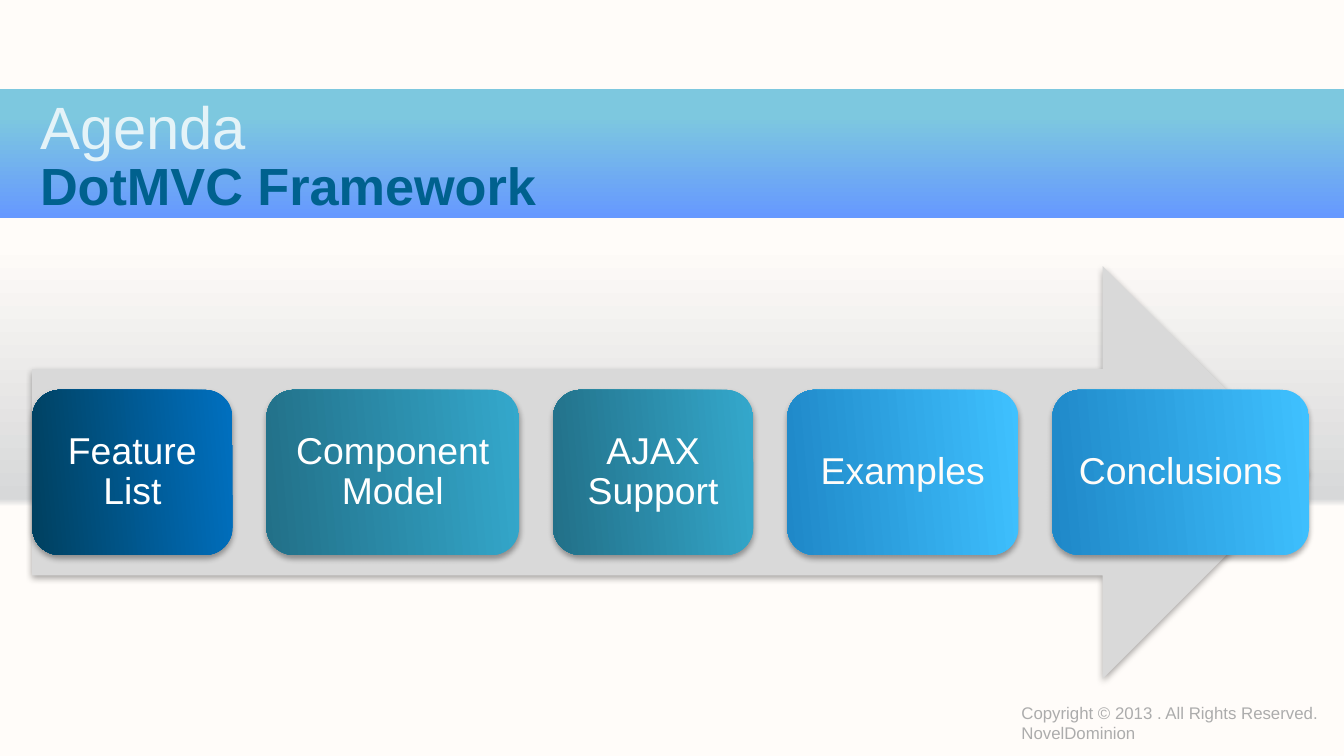
import pptx
import pptx.dml.color
import pptx.enum.shapes
import pptx.enum.text
import pptx.oxml
import pptx.oxml.ns
import pptx.util
from lxml import etree

WIDTH = 10
HEIGHT = WIDTH * 9 / 16
FONT = "Arial"
COLORS = {
    "cream": "FFFCF9", "haze": "D7D8D9", "aqua": "7DC8DF", "periwinkle": "6699FF",
    "arrow": "D9D9D9", "white": "FFFFFF", "title": "E4F3F8", "subtitle": "00618E",
    "footer": "ACACAC", "shadow": "000000",
    "blue": "0070C0", "navy": "00405F", "teal": "34A8CC", "deep teal": "227088",
    "sky": "3FC1FF", "deep sky": "1F88C8",
}
STEPS = [
    ("Feature List", 1.49, "blue", "navy", "white"),
    ("Component Model", 1.88, "teal", "deep teal", "white"),
    ("AJAX Support", 1.49, "teal", "deep teal", "white"),
    ("Examples", 1.72, "sky", "deep sky", "cream"),
    ("Conclusions", 1.91, "sky", "deep sky", "cream"),
]
SHAPES = pptx.enum.shapes.MSO_SHAPE
ANCHOR = pptx.enum.text.MSO_ANCHOR
ALIGN = pptx.enum.text.PP_ALIGN


def inches(box):
    """Turn a box given in inches into lengths."""
    return [pptx.util.Inches(value) for value in box]


def color(name):
    """Look up a named colour."""
    return pptx.dml.color.RGBColor.from_string(COLORS[name])


def apply_gradient(fill, owner, stops, angle):
    """Give a fill a linear gradient with clockwise angle and percent stops."""
    fill.gradient()
    fill.gradient_angle = -angle % 360
    qn = pptx.oxml.ns.qn
    stop_list = owner.find(".//" + qn("a:gsLst"))
    for old in list(stop_list):
        stop_list.remove(old)
    for position, name in stops:
        stop = etree.SubElement(stop_list, qn("a:gs"), pos=str(position * 1000))
        etree.SubElement(stop, qn("a:srgbClr"), val=COLORS[name])


def add_shadow(shape):
    """Drop a soft shadow straight below a shape."""
    shape.element.spPr.append(pptx.oxml.parse_xml(
        f'<a:effectLst {pptx.oxml.ns.nsdecls("a")}>'
        '<a:outerShdw blurRad="40000" dist="23000" dir="5400000" rotWithShape="0">'
        f'<a:srgbClr val="{COLORS["shadow"]}"><a:alpha val="35000"/></a:srgbClr>'
        '</a:outerShdw></a:effectLst>'))


def add_plain_shape(page, kind, box, shadow=False):
    """Add a preset shape without outline."""
    shape = page.shapes.add_shape(kind, *inches(box))
    shape.line.fill.background()
    if shadow:
        add_shadow(shape)
    else:
        shape.shadow.inherit = False
    return shape


def write(shape, text, size, name, anchor, align=ALIGN.LEFT, margins=(0.1, 0.05),
          bold=False, spacing=1.0):
    """Set and format the text of a shape."""
    frame = shape.text_frame
    frame.text = text
    frame.word_wrap = True
    frame.auto_size = pptx.enum.text.MSO_AUTO_SIZE.NONE
    frame.vertical_anchor = anchor
    frame.margin_left = frame.margin_right = pptx.util.Inches(margins[0])
    frame.margin_top = frame.margin_bottom = pptx.util.Inches(margins[1])
    for para in frame.paragraphs:
        para.alignment = align
        para.line_spacing = spacing
        for span in para.runs:
            span.font.name = FONT
            span.font.size = pptx.util.Pt(size)
            span.font.bold = bold
            span.font.color.rgb = color(name)


def build_header(page, box):
    """Place the gradient band with the title and subtitle."""
    left, top, width, height = box
    band = add_plain_shape(page, SHAPES.RECTANGLE, box)
    apply_gradient(band.fill, band.element, [(21, "aqua"), (100, "periwinkle")], 90)
    text_left = left + 0.02 * width
    title = page.shapes.title
    title.left, title.top, title.width, title.height = inches(
        (text_left, top - 0.04, 0.5 * width, 0.46))
    write(title, "Agenda", 32, "title", ANCHOR.TOP)
    title.element.getparent().append(title.element)
    subtitle = page.shapes.add_textbox(*inches(
        (text_left, top + 0.7, 0.71 * width, 0.3)))
    write(subtitle, "DotMVC Framework", 28, "subtitle", ANCHOR.BOTTOM, bold=True)


def build_process(page, box):
    """Place the arrow and spread the steps evenly along it."""
    left, top, width, height = box
    arrow = add_plain_shape(page, SHAPES.RIGHT_ARROW, box, shadow=True)
    arrow.fill.solid()
    arrow.fill.fore_color.rgb = color("arrow")
    gap = (width - sum(step[1] for step in STEPS)) / (len(STEPS) - 1)
    for text, step_width, light, dark, ink in STEPS:
        step = add_plain_shape(page, SHAPES.ROUNDED_RECTANGLE,
                               (left, top + 0.3 * height, step_width, 0.4 * height),
                               shadow=True)
        apply_gradient(step.fill, step.element, [(0, light), (100, dark)], 175)
        write(step, text, 20, ink, ANCHOR.MIDDLE, ALIGN.CENTER, (0.08, 0.08), spacing=0.9)
        left += step_width + gap


def build_footer(page, box):
    """Place the copyright lines."""
    footer = page.shapes.add_textbox(*inches(box))
    write(footer, "Copyright © 2013 . All Rights Reserved.\nNovelDominion", 9,
          "footer", ANCHOR.MIDDLE, margins=(0, 0))


def main():
    """Build the agenda slide and save it."""
    deck = pptx.Presentation()
    deck.slide_width, deck.slide_height = inches((WIDTH, HEIGHT))
    page = deck.slides.add_slide(deck.slide_layouts[5])
    apply_gradient(page.background.fill, page.element,
                   [(33, "cream"), (34, "haze"), (68, "cream")], 270)
    build_header(page, (0, 0.66, WIDTH, 0.96))
    build_process(page, (0.24, 1.98, 0.95 * WIDTH, 3.07))
    build_footer(page, (0.76 * WIDTH, 5.23, 0.24 * WIDTH, 0.29))
    deck.save("out.pptx")


if __name__ == "__main__":
    main()
